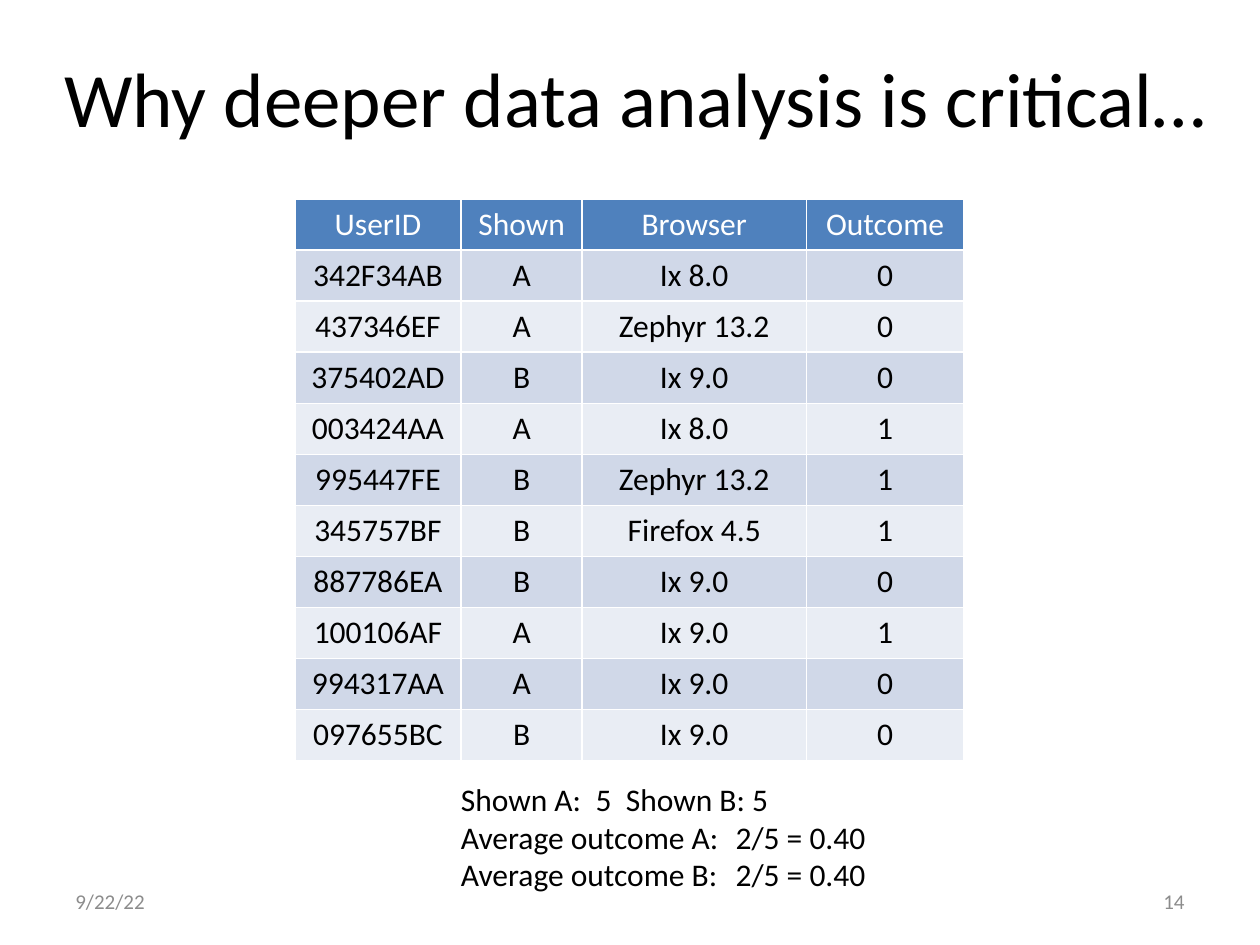
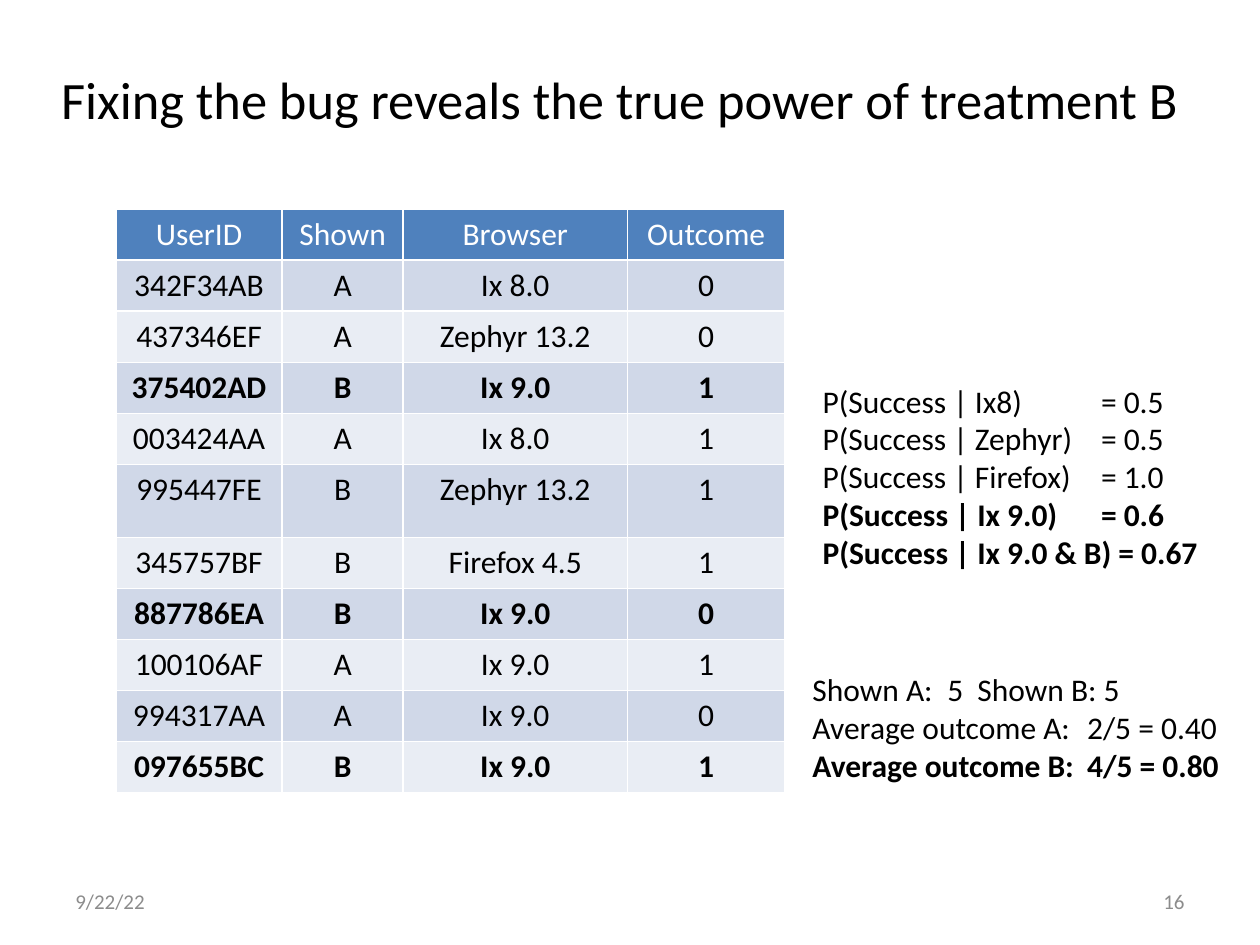
from lxml.etree import SubElement
from pptx import Presentation
from pptx.dml.color import RGBColor
from pptx.enum.text import MSO_ANCHOR as Anchor, PP_ALIGN as Align
from pptx.oxml.ns import qn
from pptx.util import Emu, Inches, Pt

FONT = "Calibri"
COLORS = {"text": "000000", "muted": "8C8C8C", "header": "4F81BD", "header_text": "FFFFFF",
          "odd_row": "D0D8E8", "even_row": "E9EDF4", "border": "FFFFFF"}
DATE = "9/22/22"

HEADINGS = ("UserID", "Shown", "Browser", "Outcome")
VISITS = [
    ("342F34AB", "A", "Ix 8.0", 0),
    ("437346EF", "A", "Zephyr 13.2", 0),
    ("375402AD", "B", "Ix 9.0", 0),
    ("003424AA", "A", "Ix 8.0", 1),
    ("995447FE", "B", "Zephyr 13.2", 1),
    ("345757BF", "B", "Firefox 4.5", 1),
    ("887786EA", "B", "Ix 9.0", 0),
    ("100106AF", "A", "Ix 9.0", 1),
    ("994317AA", "A", "Ix 9.0", 0),
    ("097655BC", "B", "Ix 9.0", 0),
]
FIXED_USERS = {"375402AD", "097655BC"}
FIXED_VISITS = [(user, shown, browser, 1 if user in FIXED_USERS else outcome)
                for user, shown, browser, outcome in VISITS]

COLUMN_WIDTHS = (1.32, 0.96, 1.78, 1.25)
ROW_HEIGHT = 4.46 / (len(VISITS) + 1)
SUMMARY_TABS = (1.07, 1.31, 2.18)
SUMMARY_SIZE = (3.5, 1.01)

# Each line is (text, bold)
SHOWN_COUNTS = ("Shown A:\t5\tShown B: 5", False)
AVERAGE_A = ("Average outcome A:\t2/5 = 0.40", False)
SUCCESS_RATES = [
    ("P(Success | Ix8)\t= 0.5", False),
    ("P(Success | Zephyr)\t= 0.5", False),
    ("P(Success | Firefox)\t= 1.0", False),
    ("P(Success | Ix 9.0)\t= 0.6", True),
    ("P(Success | Ix 9.0 & B) = 0.67", True),
]

SLIDES = [
    {"title": "Why deeper data analysis is critical…", "title_size": 44,
     "title_box": (0.39, 0.04, 9.31, 1.45), "number": 14,
     "visits": VISITS, "table_at": (2.34, 1.58), "bold_affected": False, "row_heights": {},
     "notes": [((3.56, 6.14, *SUMMARY_SIZE), SUMMARY_TABS,
                [SHOWN_COUNTS, AVERAGE_A, ("Average outcome B:\t2/5 = 0.40", False)])]},
    {"title": "Fixing the bug reveals the true power of treatment B", "title_size": 30,
     "title_box": (0.34, 0.06, 9.16, 1.45), "number": 16,
     "visits": FIXED_VISITS, "table_at": (0.92, 1.66), "bold_affected": True,
     "row_heights": {5: 0.58},
     "notes": [((6.43, 2.98, 3.35, 1.62), (2.21,), SUCCESS_RATES),
               ((6.35, 5.27, *SUMMARY_SIZE), SUMMARY_TABS,
                [SHOWN_COUNTS, AVERAGE_A, ("Average outcome B:\t4/5 = 0.80", True)])]},
]


def style_paragraph(paragraph, size, color, bold=False, align=Align.LEFT):
    paragraph.alignment = align
    font = paragraph.font
    font.name, font.size, font.bold = FONT, Pt(size), bold
    font.color.rgb = RGBColor.from_string(COLORS[color])


def add_tabs(paragraph, positions):
    tab_list = SubElement(paragraph._p.get_or_add_pPr(), qn("a:tabLst"))
    for position in positions:
        SubElement(tab_list, qn("a:tab"), pos=str(Inches(position)), algn="l")


def add_text(slide, box, lines, size, color="text", align=Align.LEFT, anchor=Anchor.TOP, tabs=()):
    frame = slide.shapes.add_textbox(*map(Inches, box)).text_frame
    frame.word_wrap = True
    frame.vertical_anchor = anchor
    for index, (text, bold) in enumerate(lines):
        paragraph = frame.add_paragraph() if index else frame.paragraphs[0]
        paragraph.text = text
        if tabs:
            add_tabs(paragraph, tabs)
        style_paragraph(paragraph, size, color, bold, align)


def add_borders(cell):
    properties = cell._tc.get_or_add_tcPr()
    for side in ("lnL", "lnR", "lnT", "lnB"):
        line = SubElement(properties, qn(f"a:{side}"), w=str(Pt(1)))
        fill = SubElement(line, qn("a:solidFill"))
        SubElement(fill, qn("a:srgbClr"), val=COLORS["border"])


def fill_cell(cell, value, fill, color, bold):
    cell.text = str(value)
    style_paragraph(cell.text_frame.paragraphs[0], 18, color, bold, Align.CENTER)
    add_borders(cell)
    cell.fill.solid()
    cell.fill.fore_color.rgb = RGBColor.from_string(COLORS[fill])


def add_visit_table(slide, visits, at, bold_affected, row_heights):
    """Draw the visits; bold_affected marks users shown B in the browser with the bug."""
    rows = [HEADINGS, *visits]
    heights = [row_heights.get(index, ROW_HEIGHT) for index in range(len(rows))]
    size = (sum(COLUMN_WIDTHS), sum(heights))
    table = slide.shapes.add_table(len(rows), len(HEADINGS), *map(Inches, at + size)).table
    for column, width in zip(table.columns, COLUMN_WIDTHS):
        column.width = Inches(width)
    for index, values in enumerate(rows):
        table.rows[index].height = Emu(Inches(heights[index]))
        fill = "header" if index == 0 else "odd_row" if index % 2 else "even_row"
        color = "text" if index else "header_text"
        bold = bold_affected and values[1:3] == ("B", "Ix 9.0")
        for column, value in enumerate(values):
            fill_cell(table.cell(index, column), value, fill, color, bold)


def add_footer(slide, number):
    for left, text, align in ((0.5, DATE, Align.LEFT), (7.17, str(number), Align.RIGHT)):
        add_text(slide, (left, 6.95, 2.33, 0.4), [(text, False)], 12, "muted", align, Anchor.MIDDLE)


def main():
    presentation = Presentation()
    presentation.slide_width, presentation.slide_height = Inches(10), Inches(7.5)
    for content in SLIDES:
        slide = presentation.slides.add_slide(presentation.slide_layouts[6])
        add_text(slide, content["title_box"], [(content["title"], False)], content["title_size"],
                 align=Align.CENTER, anchor=Anchor.MIDDLE)
        add_visit_table(slide, content["visits"], content["table_at"],
                        content["bold_affected"], content["row_heights"])
        for box, tabs, lines in content["notes"]:
            add_text(slide, box, lines, 18, tabs=tabs)
        add_footer(slide, content["number"])
    presentation.save("out.pptx")


if __name__ == "__main__":
    main()
